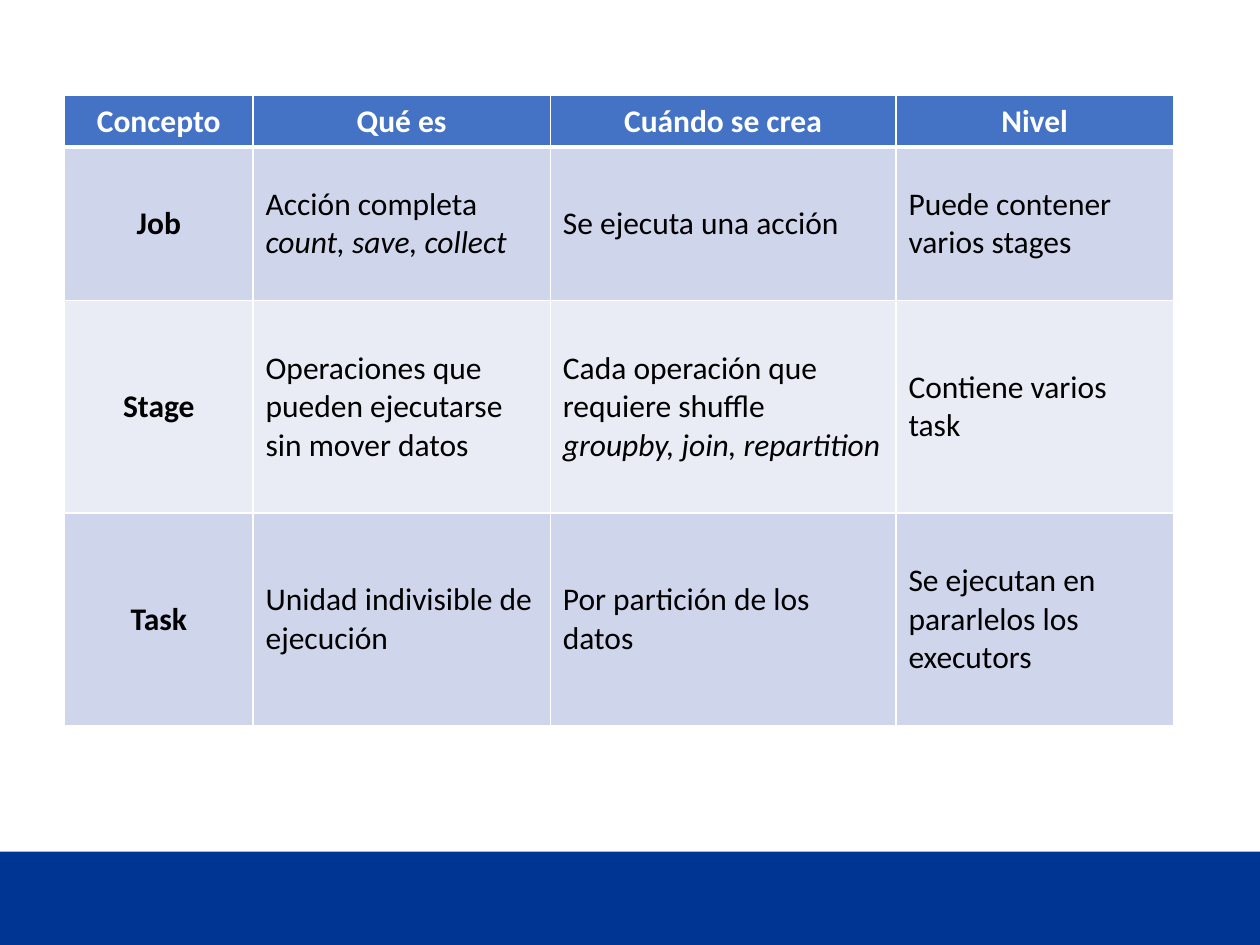
from lxml import etree
from pptx import Presentation
from pptx import util as u
from pptx.dml.color import RGBColor
from pptx.enum import shapes, text
from pptx.oxml import ns

COLORS = {
    "header": "4472C4",
    "odd_row": "CFD5EA",
    "even_row": "E9EBF5",
    "white": "FFFFFF",
    "black": "000000",
    "footer": "003594",
}
COLUMN_WIDTHS = [107.7, 169.9, 197.5, 158.5]
ROW_HEIGHTS = [28.1, 87.8, 121.5, 121.5]
ROWS = [
    ["Concepto", "Qué es", "Cuándo se crea", "Nivel"],
    ["Job", ("Acción completa", "count, save, collect"),
     "Se ejecuta una acción", "Puede contener varios stages"],
    ["Stage", "Operaciones que pueden ejecutarse sin mover datos",
     ("Cada operación que requiere shuffle", "groupby, join, repartition"),
     "Contiene varios task"],
    ["Task", "Unidad indivisible de ejecución", "Por partición de los datos",
     "Se ejecutan en pararlelos los executors"],
]


def set_fill(target, color):
    target.fill.solid()
    target.fill.fore_color.rgb = RGBColor.from_string(COLORS[color])


def add_text(paragraph, content, color="black", bold=False, italic=False, size=18):
    run = paragraph.add_run()
    run.text = content
    run.font.name = "Calibri"
    run.font.size = u.Pt(size)
    run.font.bold = bold
    run.font.italic = italic
    run.font.color.rgb = RGBColor.from_string(COLORS[color])


def set_borders(cell, widths, color="white"):
    properties = cell._tc.get_or_add_tcPr()
    for position, (side, width) in enumerate(widths.items()):
        line = etree.Element(ns.qn(f"a:{side}"), w=str(u.Pt(width)))
        fill = etree.SubElement(line, ns.qn("a:solidFill"))
        etree.SubElement(fill, ns.qn("a:srgbClr"), val=COLORS[color])
        properties.insert(position, line)


def fill_cell(cell, content, row, column):
    header = row == 0
    heading = header or column == 0
    set_fill(cell, "header" if header else "odd_row" if row % 2 else "even_row")
    set_borders(cell, {"lnL": 1, "lnR": 1, "lnT": 3 if row == 1 else 1,
                       "lnB": 3 if header else 1})
    cell.vertical_anchor = text.MSO_ANCHOR.MIDDLE
    paragraph = cell.text_frame.paragraphs[0]
    paragraph.alignment = text.PP_ALIGN.CENTER if heading else text.PP_ALIGN.LEFT
    lines = content if isinstance(content, tuple) else (content,)
    for index, line in enumerate(lines):
        if index:
            paragraph.add_line_break()
        add_text(paragraph, line, color="white" if header else "black",
                 bold=heading, italic=index > 0)


def add_concept_table(slide, left, top):
    table = slide.shapes.add_table(
        len(ROWS), len(COLUMN_WIDTHS), u.Pt(left), u.Pt(top),
        u.Pt(sum(COLUMN_WIDTHS)), u.Pt(sum(ROW_HEIGHTS))).table
    for column, width in zip(table.columns, COLUMN_WIDTHS):
        column.width = u.Pt(width)
    for row, height in zip(table.rows, ROW_HEIGHTS):
        row.height = u.Pt(height)
    for row, contents in enumerate(ROWS):
        for column, content in enumerate(contents):
            fill_cell(table.cell(row, column), content, row, column)


def add_footer_band(slide, top, width, height):
    band = slide.shapes.add_shape(
        shapes.MSO_SHAPE.RECTANGLE, 0, u.Pt(top), u.Pt(width), u.Pt(height))
    band.shadow.inherit = False
    set_fill(band, "footer")
    band.line.fill.background()


def main():
    presentation = Presentation()
    presentation.slide_width = u.Pt(720)
    presentation.slide_height = u.Pt(540)
    slide = presentation.slides.add_slide(presentation.slide_layouts[6])
    add_footer_band(slide, top=486.7, width=720, height=53.3)
    add_concept_table(slide, left=36.9, top=54.7)
    presentation.save("out.pptx")


if __name__ == "__main__":
    main()
